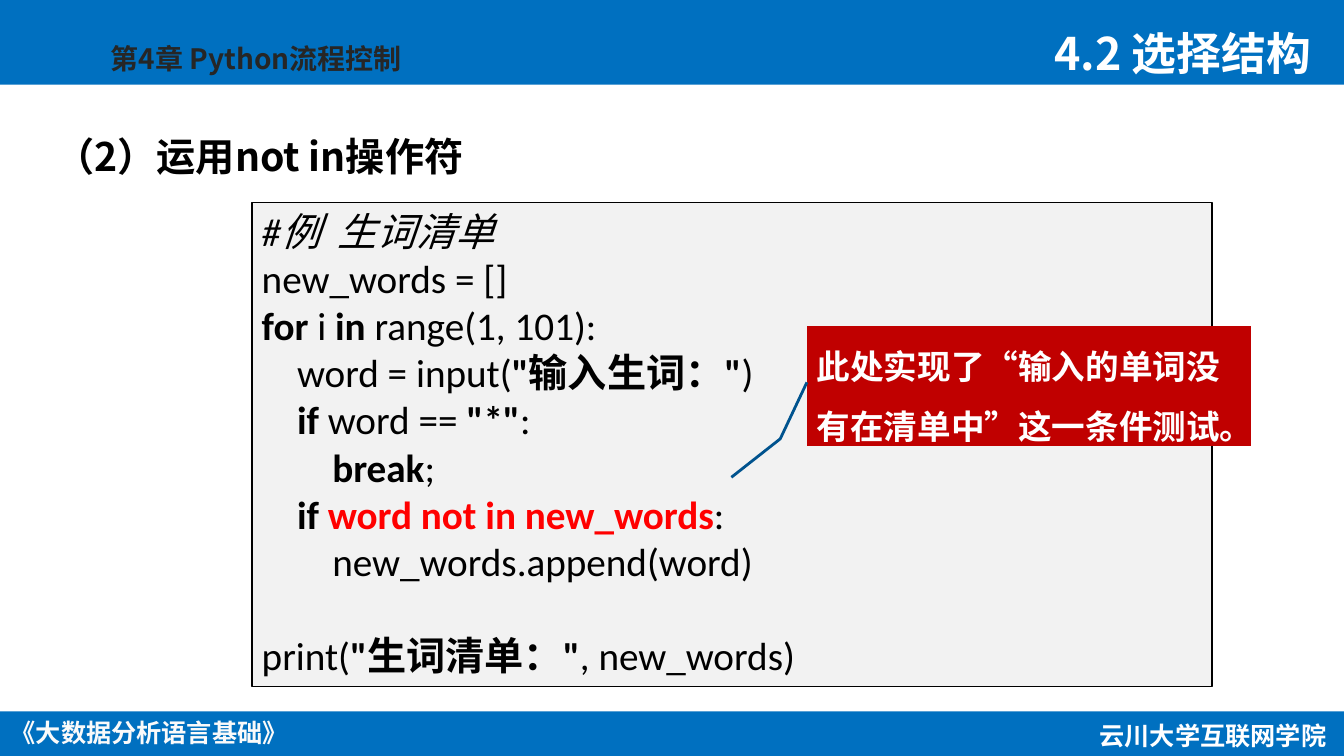
from pptx import Presentation
from pptx.dml.color import RGBColor
from pptx.enum.shapes import MSO_SHAPE as Shape
from pptx.enum.text import MSO_ANCHOR as Anchor, PP_ALIGN as Align
from pptx.oxml.ns import qn
from pptx.util import Inches, Pt
from lxml.etree import SubElement

BLUE = RGBColor(0x00, 0x70, 0xC0)
DEEP_BLUE = RGBColor(0x00, 0x53, 0x8E)
CRIMSON = RGBColor(0xC0, 0x00, 0x00)
RED = RGBColor(0xFF, 0x00, 0x00)
GREY = RGBColor(0xF2, 0xF2, 0xF2)
CHARCOAL = RGBColor(0x26, 0x26, 0x26)
PEARL = RGBColor(0xFA, 0xFA, 0xFA)
WHITE = RGBColor(0xFF, 0xFF, 0xFF)
BLACK = RGBColor(0x00, 0x00, 0x00)

HEADING_FONT = "Noto Sans CJK SC"
CODE_FONT = "Calibri"
CODE_INDENT = Inches(0.35)
CODE_LINE = Pt(33.8)

PLAIN = {}
BOLD = {"bold": True}
ITALIC = {"italic": True}
ALERT = {"bold": True, "color": RED}

# Each line: indent level, blank lines before it, runs
CODE = [
    (0, 0, [("#例  生词清单", ITALIC)]),
    (0, 0, [("new_words = []", PLAIN)]),
    (0, 0, [("for ", BOLD), ("i ", PLAIN), ("in ", BOLD), ("range(1, 101):", PLAIN)]),
    (1, 0, [("word = input(", PLAIN), ('"输入生词："', BOLD), (")", PLAIN)]),
    (1, 0, [("if ", BOLD), ("word == ", PLAIN), ('"*"', BOLD), (":", PLAIN)]),
    (2, 0, [("break", BOLD), (";", PLAIN)]),
    (1, 0, [("if ", BOLD), ("word not in new_words", ALERT), (":", PLAIN)]),
    (2, 0, [("new_words.append(word)", PLAIN)]),
    (0, 1, [("print(", PLAIN), ('"生词清单："', BOLD), (", new_words)", PLAIN)]),
]


class LessonSlide:
    """Draws on one slide; every box is (left, top, width, height) in percent of it."""

    def __init__(self, prs):
        self.prs = prs
        self.s = prs.slides.add_slide(prs.slide_layouts[6])

    def place(self, box):
        sizes = (self.prs.slide_width, self.prs.slide_height) * 2
        return [round(share * size / 100) for share, size in zip(box, sizes)]

    def run(self, p, text, size, color=BLACK, font=HEADING_FONT, **style):
        r = p.add_run()
        r.text = text
        r.font.color.rgb = color
        for name, value in {"size": Pt(size), "name": font, **style}.items():
            setattr(r.font, name, value)
        SubElement(r.font._element, qn("a:ea"), typeface=HEADING_FONT)

    def shape(self, box, fill, line=None, width=1, kind=Shape.RECTANGLE):
        sp = self.s.shapes.add_shape(kind, *self.place(box))
        sp.shadow.inherit = False
        sp.fill.solid()
        sp.fill.fore_color.rgb = fill
        if line is None:
            sp.line.fill.background()
        else:
            sp.line.color.rgb = line
            sp.line.width = Pt(width)
        return sp

    def label(self, box, text, size, color, align=Align.LEFT, wrap=True, anchor=Anchor.TOP):
        tf = self.s.shapes.add_textbox(*self.place(box)).text_frame
        tf.word_wrap = wrap
        tf.vertical_anchor = anchor
        p = tf.paragraphs[0]
        p.alignment = align
        self.run(p, text, size, color, bold=True)

    def code(self, box, lines, size):
        tf = self.shape(box, GREY, BLACK).text_frame
        tf.word_wrap = True
        tf.vertical_anchor = Anchor.TOP
        for i, (level, gap, runs) in enumerate(lines):
            p = tf.add_paragraph() if i else tf.paragraphs[0]
            p.alignment = Align.LEFT
            p.space_before = gap * CODE_LINE
            p._p.get_or_add_pPr().set("marL", str(level * CODE_INDENT))
            for text, style in runs:
                self.run(p, text, size, font=CODE_FONT, **style)

    def callout(self, box, text, size, tail):
        sp = self.shape(box, CRIMSON, DEEP_BLUE, 2, Shape.LINE_CALLOUT_2_NO_BORDER)
        for i, value in enumerate(tail):
            sp.adjustments[i] = value
        tf = sp.text_frame
        tf.word_wrap = True
        tf.vertical_anchor = Anchor.MIDDLE
        p = tf.paragraphs[0]
        p.alignment = Align.LEFT
        p.line_spacing = 1.5
        self.run(p, text, size, WHITE, bold=True)


def main():
    prs = Presentation()
    prs.slide_width, prs.slide_height = Inches(13.34), Inches(7.5)
    s = LessonSlide(prs)

    s.shape((0, 0, 100, 11.2), BLUE)
    s.shape((0, 94.1, 100, 5.9), BLUE)
    s.label((0, 94.2, 22.2, 5.3), "《大数据分析语言基础》", 18, PEARL, Align.CENTER, wrap=False)
    s.label((81, 94.6, 18.5, 5.3), "云川大学互联网学院", 18, WHITE, Align.CENTER, wrap=False)
    s.label((7.5, 4.9, 28.3, 5.9), "第4章 Python流程控制", 20, CHARCOAL)
    s.label((77.7, 2.8, 22.3, 8.5), "4.2 选择结构", 32, WHITE)

    s.label((3.4, 14.3, 65.6, 12.5), "（2）运用not in操作符", 28, BLACK, anchor=Anchor.MIDDLE)
    s.code((18.74, 26.8, 71.44, 64), CODE, 28)
    s.callout((60.04, 43.1, 33.06, 15.9), "此处实现了“输入的单词没有在清单中”这一条件测试。", 24,
              tail=(0.47, 0, 0.94, -0.06, 1.26, -0.17))
    prs.save("out.pptx")


if __name__ == "__main__":
    main()
